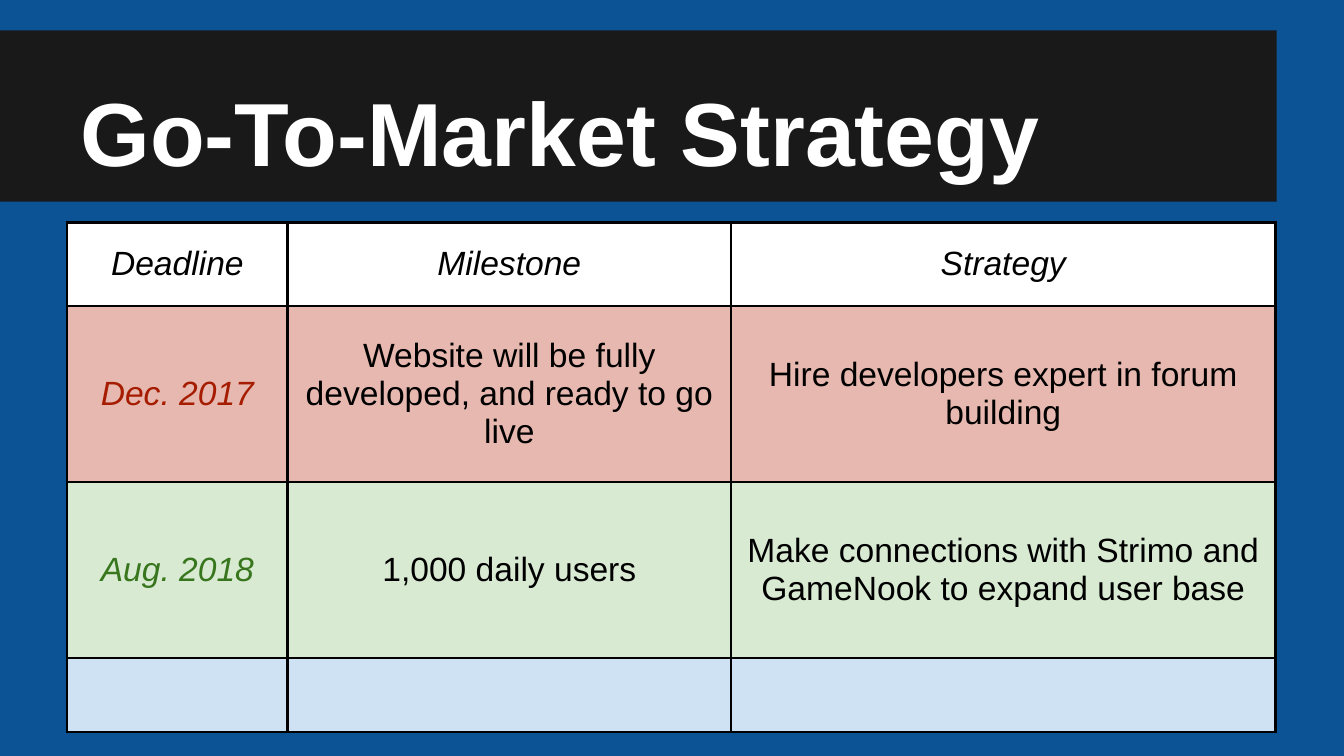
"""Build the Go-To-Market Strategy slide with its milestone table."""
from lxml.etree import SubElement
from pptx import Presentation
from pptx.dml.color import RGBColor
from pptx.enum.shapes import MSO_SHAPE
from pptx.enum.text import MSO_ANCHOR, MSO_AUTO_SIZE, PP_ALIGN
from pptx.oxml.ns import qn
from pptx.util import Pt

PX = 4572
INSET = 20 * PX
COLS = [328, 660, 810]
ROWS = [124, 262, 262, 110]
CELLS = [
    ("FFFFFF", "000000", ["Deadline", "Milestone", "Strategy"]),
    ("E6B8AF", "A61C00", ["Dec. 2017",
                          "Website will be fully developed, and ready to go live",
                          "Hire developers expert in forum building"]),
    ("D9EAD3", "38761D", ["Aug. 2018", "1,000 daily users",
                          "Make connections with Strimo and GameNook to expand user base"]),
    ("CFE2F3", "000000", ["", "", ""]),
]


def paint(fill, color):
    fill.solid()
    fill.fore_color.rgb = RGBColor.from_string(color)


def add_run(p, text, size, color, bold=False, italic=False):
    r = p.add_run()
    r.text = text
    r.font.name = "Arial"
    r.font.size = Pt(size)
    r.font.bold = bold
    r.font.italic = italic
    paint(r.font.fill, color)


prs = Presentation()
prs.slide_width, prs.slide_height = 2000 * PX, 1125 * PX
s = prs.slides.add_slide(prs.slide_layouts[5])
paint(s.background.fill, "0B5394")

title = s.shapes.title
title.left, title.top, title.width, title.height = 100 * PX, 45 * PX, 1800 * PX, 250 * PX
tf = title.text_frame
tf.auto_size = MSO_AUTO_SIZE.NONE
tf.word_wrap = True
tf.vertical_anchor = MSO_ANCHOR.BOTTOM
tf.margin_left = tf.margin_right = tf.margin_top = tf.margin_bottom = INSET
p = tf.paragraphs[0]
p.alignment = PP_ALIGN.LEFT
add_run(p, "Go-To-Market Strategy", 48, "FFFFFF", bold=True)

bar = s.shapes.add_shape(MSO_SHAPE.RECTANGLE, 0, 45 * PX, 1900 * PX, 255 * PX)
bar.shadow.inherit = False
paint(bar.fill, "191919")
bar.line.fill.background()
title._element.addprevious(bar._element)

table = s.shapes.add_table(len(ROWS), len(COLS), 100 * PX, 331 * PX,
                           sum(COLS) * PX, sum(ROWS) * PX).table
table.horz_banding = table.first_row = False
for col, width in zip(table.columns, COLS):
    col.width = width * PX
for j, (fill, accent, texts) in enumerate(CELLS):
    table.rows[j].height = ROWS[j] * PX
    for i, text in enumerate(texts):
        cell = table.cell(j, i)
        cell.vertical_anchor = MSO_ANCHOR.MIDDLE
        cell.margin_left = cell.margin_right = cell.margin_top = cell.margin_bottom = INSET
        tcPr = cell._tc.get_or_add_tcPr()
        for side in ("a:lnL", "a:lnR", "a:lnT", "a:lnB"):
            ln = SubElement(tcPr, qn(side), w=str(Pt(1.5)))
            SubElement(SubElement(ln, qn("a:solidFill")), qn("a:srgbClr"), val="000000")
        paint(cell.fill, fill)
        if text:
            p = cell.text_frame.paragraphs[0]
            p.alignment = PP_ALIGN.CENTER
            add_run(p, text, 18, "000000" if i else accent, italic=i == 0 or j == 0)

prs.save("out.pptx")
